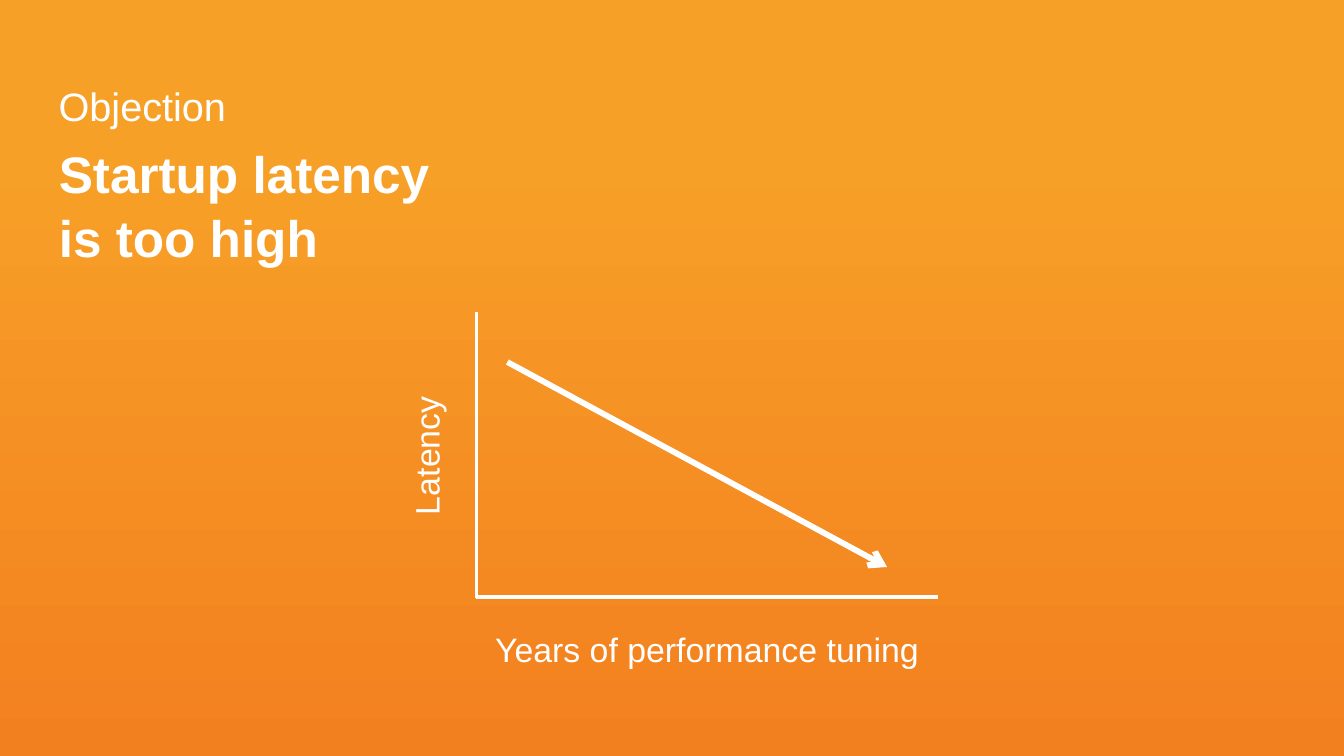
from dataclasses import dataclass

from lxml.etree import SubElement
from pptx import Presentation
from pptx.dml.color import RGBColor
from pptx.enum.shapes import MSO_CONNECTOR as Connector
from pptx.enum.text import MSO_ANCHOR as Anchor, MSO_AUTO_SIZE as AutoSize, PP_ALIGN as Align
from pptx.oxml.ns import qn
from pptx.util import Inches, Pt

WHITE = "FFFFFF"
GRADIENT = ((2, "F7A028"), (20, "F7A028"), (100, "F3801F"))


@dataclass
class Label:
    text: str
    left: float
    top: float
    width: float
    height: float
    size: int
    align: Align = Align.LEFT
    bold: bool = False
    rotation: int = 0
    inset: float = 0.09
    spacing: float = 1.0


@dataclass
class Line:
    start: tuple[float, float]
    end: tuple[float, float]
    width: int = 3
    arrow: bool = False


TITLE = Label("Startup latency\vis too high", 0.6, 1.58, 7.4, 1.09, 44,
              bold=True, inset=0.07, spacing=1.05)
LABELS = (
    Label("Objection", 0.6, 0.89, 7.4, 0.82, 34),
    Label("Latency", 4.02, 5.03, 2.23, 0.79, 29, Align.CENTER, rotation=270),
    Label("Years of performance tuning", 5.67, 7.39, 5.5, 0.56, 29, Align.CENTER),
)
LINES = (
    Line((5.67, 7.11), (11.17, 7.11)),
    Line((5.67, 7.12), (5.67, 3.72)),
    Line((6.04, 4.31), (10.56, 6.75), width=5, arrow=True),
)


def rgb(value: str) -> RGBColor:
    return RGBColor.from_string(value)


def paint_background(s) -> None:
    fill = s.background.fill
    fill.gradient()
    fill.gradient_angle = 270
    stops = s.element.find(".//" + qn("a:gsLst"))
    stops.clear()
    for position, color in GRADIENT:
        stop = SubElement(stops, qn("a:gs"), pos=str(position * 1000))
        SubElement(stop, qn("a:srgbClr"), val=color)


def write_label(sp, label: Label) -> None:
    sp.left, sp.top = Inches(label.left), Inches(label.top)
    sp.width, sp.height = Inches(label.width), Inches(label.height)
    sp.rotation = label.rotation
    tf = sp.text_frame
    tf.word_wrap = True
    tf.auto_size = AutoSize.NONE
    tf.vertical_anchor = Anchor.TOP
    tf.margin_top = Inches(label.inset)
    p = tf.paragraphs[0]
    p.text = label.text
    p.alignment = label.align
    p.line_spacing = label.spacing
    p.font.name = "Arial"
    p.font.size = Pt(label.size)
    p.font.bold = label.bold
    p.font.color.rgb = rgb(WHITE)


def draw_line(s, line: Line) -> None:
    points = [Inches(v) for v in (*line.start, *line.end)]
    sp = s.shapes.add_connector(Connector.STRAIGHT, *points)
    sp.line.color.rgb = rgb(WHITE)
    sp.line.width = Pt(line.width)
    if line.arrow:
        SubElement(sp.line._get_or_add_ln(), qn("a:tailEnd"), type="arrow")
    SubElement(sp.element.spPr, qn("a:effectLst"))


def main() -> None:
    prs = Presentation()
    prs.slide_width, prs.slide_height = Inches(16), Inches(9)
    s = prs.slides.add_slide(prs.slide_layouts.get_by_name("Title Only"))
    paint_background(s)
    write_label(s.shapes.title, TITLE)
    for label in LABELS:
        write_label(s.shapes.add_textbox(0, 0, 0, 0), label)
    for line in LINES:
        draw_line(s, line)
    prs.save("out.pptx")


if __name__ == "__main__":
    main()
